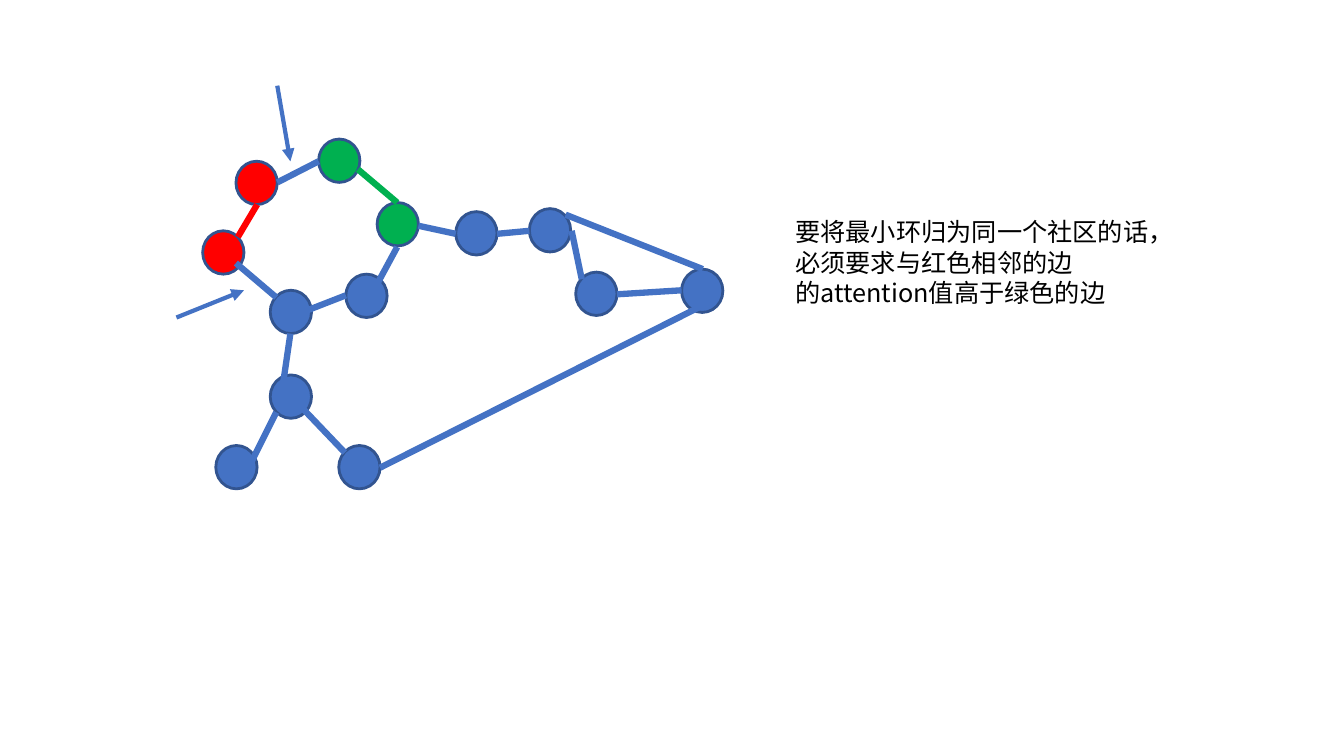
"""Draw a node graph with red and green pairs beside a note on edge attention."""
from lxml.etree import SubElement as Sub
from pptx import Presentation
from pptx.dml.color import RGBColor
from pptx.enum.shapes import MSO_CONNECTOR as Link, MSO_SHAPE as Form
from pptx.oxml.ns import qn
from pptx.util import Inches, Pt

BLUE = RGBColor(0x44, 0x72, 0xC4)
RIM = RGBColor(0x32, 0x54, 0x90)
RED = RGBColor(0xFF, 0, 0)
GREEN = RGBColor(0, 0xB0, 0x50)
BLACK = RGBColor(0, 0, 0)
FONT = "Noto Sans CJK SC"

deck = Presentation()
deck.slide_width, deck.slide_height = Inches(13.33), Inches(7.5)
slide = deck.slides.add_slide(deck.slide_layouts[6])
shapes = slide.shapes


def add_edge(ends, color=BLUE, width=4.5):
    edge = shapes.add_connector(Link.STRAIGHT, *map(Inches, ends))
    edge.line.color.rgb = color
    edge.line.width = Pt(width)
    Sub(edge._element.spPr, qn("a:effectLst"))
    return edge


nodes = {
    RED: [(2.34, 1.6), (2.01, 2.29)],
    BLUE: [(2.68, 2.88), (3.43, 2.72), (2.68, 3.72), (2.14, 4.42), (3.36, 4.42),
           (4.52, 2.1), (5.71, 2.7), (5.25, 2.07), (6.76, 2.67)],
    GREEN: [(3.16, 1.38), (3.74, 2.01)],
}
for color, spots in nodes.items():
    for left, top in spots:
        node = shapes.add_shape(Form.OVAL, *map(Inches, (left, top, 0.41, 0.43)))
        node.shadow.inherit = False
        node.fill.solid()
        node.fill.fore_color.rgb = color
        node.line.color.rgb = RIM
        node.line.width = Pt(2)

edges = {
    RED: [(2.55, 2.03, 2.36, 2.35)],
    BLUE: [(2.34, 2.61, 2.74, 2.95), (3.02, 3.09, 3.43, 2.93),
           (3.74, 2.82, 3.94, 2.45), (3.16, 1.6, 2.75, 1.81),
           (2.88, 3.31, 2.81, 3.79), (2.74, 4.09, 2.48, 4.61),
           (3, 4.05, 3.42, 4.49), (4.15, 2.24, 4.52, 2.32),
           (4.93, 2.32, 5.25, 2.29), (5.67, 2.29, 5.77, 2.77),
           (6.12, 2.92, 6.76, 2.88), (3.77, 4.64, 6.93, 3.05),
           (5.61, 2.13, 6.97, 2.67)],
    GREEN: [(3.94, 2.01, 3.55, 1.68)],
}
for color, group in edges.items():
    for ends in group:
        add_edge(ends, color)

for ends in [(2.75, 0.85, 2.88, 1.6), (1.75, 3.15, 2.42, 2.88)]:
    arrow = add_edge(ends, width=3)
    Sub(arrow.line._get_or_add_ln(), qn("a:tailEnd"), type="triangle")

note = shapes.add_textbox(*map(Inches, (7.79, 2.1, 4.02, 1)))
frame = note.text_frame
frame.word_wrap = True
frame.text = "要将最小环归为同一个社区的话，必须要求与红色相邻的边\n的attention值高于绿色的边"
style = {"name": FONT, "size": Pt(18)}
for para in frame.paragraphs:
    for run in para.runs:
        for key, value in style.items():
            setattr(run.font, key, value)
        run.font.color.rgb = BLACK
        Sub(run._r.get_or_add_rPr(), qn("a:ea"), typeface=FONT)

deck.save("out.pptx")
